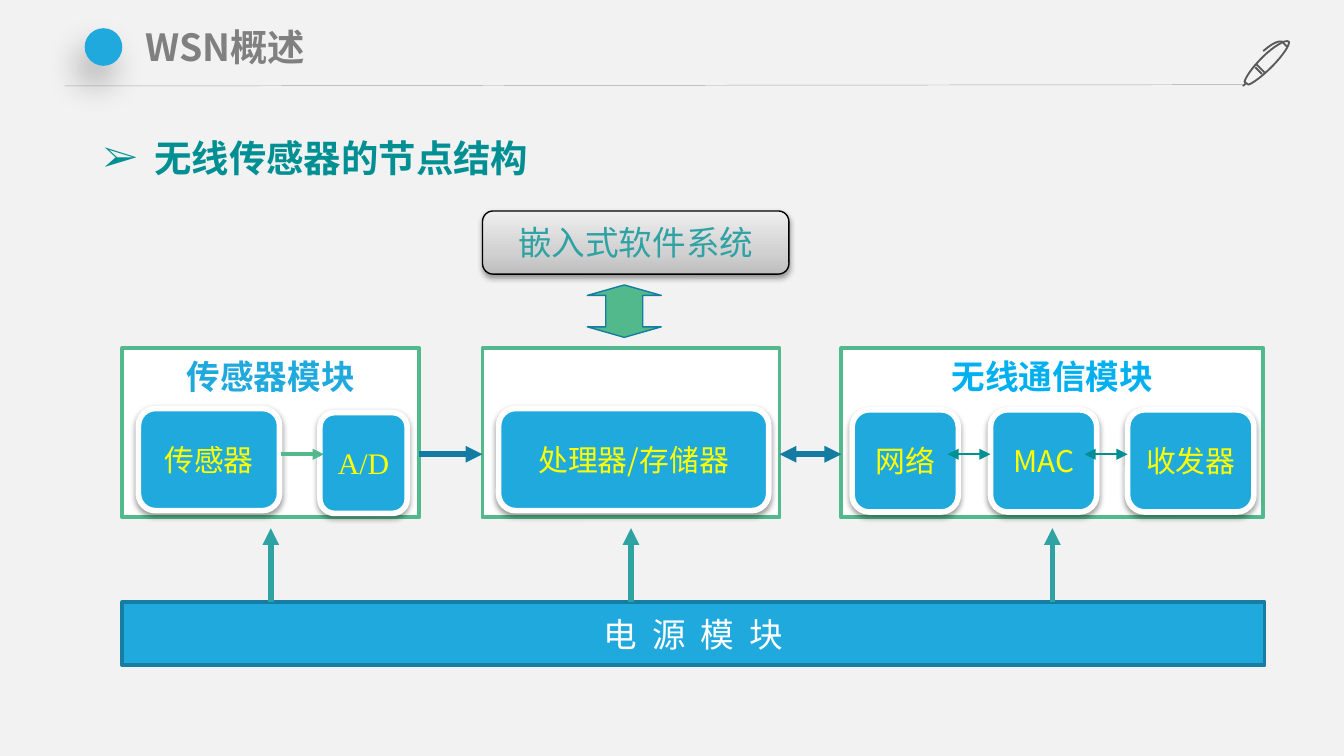
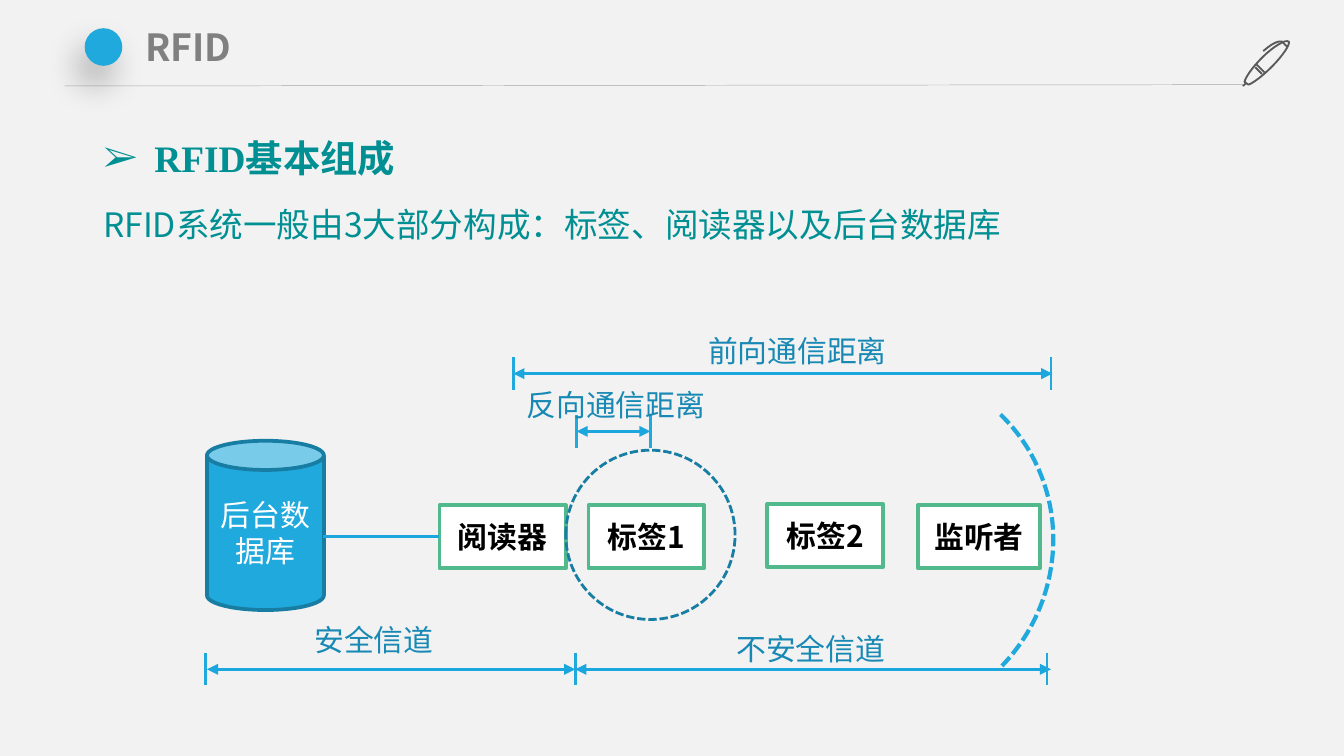
from dataclasses import dataclass

from lxml import etree
from pptx import Presentation
from pptx.dml.color import RGBColor
from pptx.enum.dml import MSO_LINE
from pptx.enum.shapes import MSO_CONNECTOR, MSO_SHAPE
from pptx.enum.text import MSO_ANCHOR, MSO_AUTO_SIZE, PP_ALIGN
from pptx.oxml.ns import qn
from pptx.util import Inches, Pt

RECT, ROUNDED = MSO_SHAPE.RECTANGLE, MSO_SHAPE.ROUNDED_RECTANGLE
OVAL, CAN, ARC = MSO_SHAPE.OVAL, MSO_SHAPE.CAN, MSO_SHAPE.ARC
UP_DOWN = MSO_SHAPE.UP_DOWN_ARROW
STRAIGHT = MSO_CONNECTOR.STRAIGHT
LEFT, CENTER = PP_ALIGN.LEFT, PP_ALIGN.CENTER
TOP, MIDDLE = MSO_ANCHOR.TOP, MSO_ANCHOR.MIDDLE
DASH = MSO_LINE.SQUARE_DOT


@dataclass(frozen=True)
class Theme:
    sans: str = "Noto Sans CJK SC"
    serif: str = "Times New Roman"
    page: str = "F2F2F2"
    title: str = "808080"
    rule: str = "A6A6A6"
    pen: str = "595959"
    body: str = "008F92"
    blue: str = "20A9DD"
    edge: str = "187DA3"
    flow: str = "147BA2"
    green: str = "52B98C"
    teal: str = "2FA2A4"
    sky: str = "00B0F0"
    span: str = "1BA7DD"
    label: str = "1889B4"
    chip_text: str = "FFFF00"
    white: str = "FFFFFF"
    black: str = "000000"
    heading_size: int = 20
    text_size: int = 18
    small_size: int = 16


T = Theme()
CHIP_SHADOW = (38, 3.1, 1.6, 90)  # opacity, blur, distance, angle
DOT_SHADOW = (27, 18, 11, 113)
SOFTWARE_STOPS = ((0, "BDBDBD"), (35, "D1D1D1"), (100, "EEEEEE"))

# Pen strokes in inches: a start point, then Bezier triples
PEN_STROKES = (
    ((9.39, 0.55), (9.34, 0.5), (9.34, 0.5), (9.34, 0.5)),
    ((9.35, 0.48), (9.41, 0.54), (9.41, 0.54), (9.41, 0.54)),
    ((9.59, 0.31), (9.57, 0.29), (9.48, 0.34), (9.39, 0.43),
     (9.32, 0.5), (9.27, 0.57), (9.26, 0.61),
     (9.29, 0.63), (9.29, 0.63), (9.29, 0.63),
     (9.32, 0.62), (9.39, 0.57), (9.46, 0.5),
     (9.55, 0.41), (9.6, 0.33), (9.59, 0.31)),
    ((9.27, 0.62), (9.25, 0.64), (9.25, 0.64), (9.25, 0.64)),
    ((9.58, 0.35), (9.58, 0.35), (9.56, 0.33), (9.54, 0.31),
     (9.54, 0.31), (9.5, 0.29), (9.4, 0.38)),
)


def rgb(color):
    return RGBColor.from_string(color)


def inches(values):
    return [Inches(value) for value in values]


def style(paragraph, size, color, bold=False, font=T.sans, align=LEFT):
    paragraph.alignment = align
    for run in paragraph.runs:
        run.font.name, run.font.size, run.font.bold = font, Pt(size), bold
        run.font.color.rgb = rgb(color)


def write(shape, text, size, color, bold=False, font=T.sans, align=CENTER,
          anchor=MIDDLE):
    frame = shape.text_frame
    frame.text = text
    frame.word_wrap = True
    frame.vertical_anchor = anchor
    frame.margin_left = frame.margin_right = Inches(0.05)
    style(frame.paragraphs[0], size, color, bold, font, align)


def outline(shape, color, width):
    if color:
        shape.line.color.rgb = rgb(color)
        shape.line.width = Pt(width)
    else:
        shape.line.fill.background()


def add_block(shapes, kind, box, fill=None, line=None, width=2, shadow=None):
    block = shapes.add_shape(kind, *inches(box))
    block.shadow.inherit = False
    if fill:
        block.fill.solid()
        block.fill.fore_color.rgb = rgb(fill)
    else:
        block.fill.background()
    outline(block, line, width)
    if shadow:
        alpha, blur, distance, angle = shadow
        effects = block.element.spPr.find(qn("a:effectLst"))
        outer = etree.SubElement(
            effects, qn("a:outerShdw"), blurRad=str(Pt(blur)),
            dist=str(Pt(distance)), dir=str(angle * 60000), rotWithShape="0")
        tint = etree.SubElement(outer, qn("a:srgbClr"), val=T.black)
        etree.SubElement(tint, qn("a:alpha"), val=str(alpha * 1000))
    return block


def add_line(shapes, start, end, color, width, head=False, tail=False):
    line = shapes.add_connector(STRAIGHT, *inches((*start, *end)))
    outline(line, color, width)
    properties = line.element.spPr
    stroke = properties.find(qn("a:ln"))
    for tag, wanted in (("a:headEnd", head), ("a:tailEnd", tail)):
        if wanted:
            etree.SubElement(stroke, qn(tag), type="triangle")
    etree.SubElement(properties, qn("a:effectLst"))
    return line


def curve_points(stroke, steps=8):
    points = [stroke[0]]
    for i in range(1, len(stroke), 3):
        a, (b, c, d) = points[-1], stroke[i:i + 3]
        for step in range(1, steps + 1):
            t = step / steps
            u = 1 - t
            points.append(tuple(
                u**3 * p + 3 * u * u * t * q + 3 * u * t * t * r + t**3 * s
                for p, q, r, s in zip(a, b, c, d)))
    return [inches(point) for point in points]


def add_pen(shapes):
    builder = None
    for stroke in PEN_STROKES:
        first, *rest = curve_points(stroke)
        if builder is None:
            builder = shapes.build_freeform(*first)
        else:
            builder.move_to(*first)
        builder.add_line_segments(rest, close=stroke[0] == stroke[-1])
    pen = builder.convert_to_shape()
    pen.shadow.inherit = False
    pen.fill.background()
    outline(pen, T.pen, 1)
    return pen


def decorate_layout(prs, layout):
    """Put the shared header on the layout, using a slide to draw it."""
    background = prs.slide_master.background.fill
    background.solid()
    background.fore_color.rgb = rgb(T.page)
    for holder in list(layout.placeholders):
        if holder.placeholder_format.idx >= 10:  # date, footer, number
            holder.element.getparent().remove(holder.element)
    slide = prs.slides[0]
    parts = (
        add_line(slide.shapes, (0.48, 0.64), (9.25, 0.63), T.rule, 0.25),
        add_pen(slide.shapes),
        add_block(slide.shapes, OVAL, (0.63, 0.21, 0.28, 0.28), T.blue,
                  shadow=DOT_SHADOW),
    )
    for part in parts:
        layout.shapes.element.append(part.element)


def fill_title(slide, box, text):
    title = slide.shapes.title
    title.left, title.top, title.width, title.height = inches(box)
    write(title, text, T.heading_size, T.title, bold=True, align=LEFT,
          anchor=TOP)
    frame = title.text_frame
    frame.auto_size = MSO_AUTO_SIZE.NONE
    frame.margin_left = frame.margin_right = Inches(0.1)
    frame.margin_top = frame.margin_bottom = Inches(0.04)


def add_body(slide, box, heading, note=None):
    frame = slide.shapes.add_textbox(*inches(box)).text_frame
    frame.word_wrap = True
    first = frame.paragraphs[0]
    first.text = heading
    properties = first._p.get_or_add_pPr()
    properties.set("marL", str(Inches(0.38)))
    properties.set("indent", str(-Inches(0.38)))
    etree.SubElement(properties, qn("a:buFont"), typeface=T.serif)
    etree.SubElement(properties, qn("a:buChar"), char="➢")
    style(first, T.heading_size, T.body, bold=True, font=T.serif)
    if note:
        second = frame.add_paragraph()
        second.text = note
        second.space_before = Pt(3)
        style(second, T.text_size, T.body)
    for paragraph in frame.paragraphs:
        paragraph.line_spacing = 1.3
        paragraph.space_after = Pt(3)


def add_module(shapes, box, chips, label=None, label_color=T.blue):
    """A framed module; chips are (text, left, top, width, height, font)."""
    left, top = box[:2]
    frame = add_block(shapes, RECT, box, T.white, T.green)
    if label:
        write(frame, label, T.text_size, label_color, bold=True, anchor=TOP)
        frame.text_frame.margin_top = Inches(0.06)
    for text, x, y, width, height, font in chips:
        chip = add_block(shapes, ROUNDED, (left + x, top + y, width, height),
                         T.blue, T.white, 3, CHIP_SHADOW)
        write(chip, text, T.small_size, T.chip_text, font=font)


def add_node_diagram(slide, left, top):
    shapes = slide.shapes
    row, flow_y, power_y = top + 1.02, top + 1.81, top + 2.91
    modules = [(left + x, row, width, 1.26)
               for x, width in ((0, 2.21), (2.68, 2.21), (5.35, 3.14))]
    sensor, processor, radio = modules

    # Embedded software above the processor
    software = add_block(shapes, ROUNDED, (left + 2.68, top, 2.28, 0.47),
                         T.white, T.black, 0.75, CHIP_SHADOW)
    software.fill.gradient()
    software.fill.gradient_angle = 90
    stops = software.element.spPr.find(qn("a:gradFill")).find(qn("a:gsLst"))
    stops.clear()
    for position, color in SOFTWARE_STOPS:
        stop = etree.SubElement(stops, qn("a:gs"), pos=str(position * 1000))
        etree.SubElement(stop, qn("a:srgbClr"), val=color)
    write(software, "嵌入式软件系统", T.text_size, T.teal)
    exchange = add_block(shapes, UP_DOWN, (left + 3.46, top + 0.55, 0.55, 0.39),
                         T.green, T.flow, 0.75)
    guides = exchange.element.spPr.find(qn("a:prstGeom")).find(qn("a:avLst"))
    guides.clear()
    for name, value in (("adj1", 50000), ("adj2", 20000)):
        etree.SubElement(guides, qn("a:gd"), name=name, fmla=f"val {value}")

    # Modules and the arrows inside them
    group = shapes.add_group_shape().shapes
    add_module(group, sensor, (
        ("传感器", 0.12, 0.45, 1.05, 0.76, T.sans),
        ("A/D", 1.47, 0.48, 0.65, 0.75, T.serif)), "传感器模块")
    add_line(group, (left + 1.18, flow_y), (left + 1.5, flow_y),
             T.green, 2, tail=True)
    add_module(shapes, processor, (
        ("处理器/存储器", 0.12, 0.45, 2.01, 0.76, T.sans),))
    add_module(shapes, radio, (
        ("网络", 0.08, 0.46, 0.79, 0.76, T.sans),
        ("MAC", 1.11, 0.46, 0.79, 0.76, T.sans),
        ("收发器", 2.13, 0.46, 0.94, 0.76, T.sans)), "无线通信模块", T.sky)
    for x in (radio[0] + 0.79, radio[0] + 1.81):
        add_line(shapes, (x, flow_y), (x + 0.32, flow_y), T.body, 1, True, True)

    # Flow between modules
    for before, after, both_ways in ((sensor, processor, False),
                                     (processor, radio, True)):
        add_line(shapes, (before[0] + before[2], flow_y), (after[0], flow_y),
                 T.flow, 3, both_ways, True)

    # Power supply feeding every module
    power = add_block(shapes, RECT, (left, power_y, 8.5, 0.47), T.blue, T.edge)
    write(power, "电 源 模 块", T.text_size, T.white)
    for properties in power.element.iter(qn("a:rPr")):
        properties.set("spc", "200")
    for x, _, width, _ in modules:
        center = x + width / 2
        add_line(shapes, (center, power_y), (center, power_y - 0.55),
                 T.teal, 3, tail=True)


def add_rfid_diagram(slide, left, top):
    shapes = slide.shapes

    # Database, reader, tags and listener
    database = add_block(shapes, CAN, (left + 0.01, top + 0.85, 0.87, 1.26),
                         T.blue, T.edge)
    write(database, "后台数据库", T.small_size, T.white)
    parties = {}
    for name, x, y, width in (("阅读器", 1.74, 1.33, 0.94),
                              ("标签1", 2.85, 1.33, 0.86),
                              ("标签2", 4.18, 1.32, 0.86),
                              ("监听者", 5.3, 1.33, 0.91)):
        party = add_block(shapes, RECT, (left + x, top + y, width, 0.47),
                          T.white, T.green)
        write(party, name, T.small_size, T.black, bold=True)
        parties[name] = party
    link = add_line(shapes, (left + 0.87, top + 1.56), (left + 1.74, top + 1.56),
                    T.span, 1.5)
    link.end_connect(parties["阅读器"], 1)
    link.begin_y = link.end_y

    # Radio ranges
    near = add_block(shapes, OVAL, (left + 2.68, top + 0.92, 1.26, 1.26),
                     line=T.edge, width=1.5)
    far = add_block(shapes, ARC, (left + 3.68, top + 0.28, 2.61, 2.68),
                    line=T.blue, width=2.25)
    far.rotation = 43.9
    for reach in (near, far):
        reach.line.dash_style = DASH

    # Distances and channels with their end ticks
    for start, end, y, ticks in ((2.29, 6.3, 0.35, (2.29, 6.29)),
                                 (2.76, 3.31, 0.78, (2.76, 3.31)),
                                 (0.01, 2.75, 2.55, (0, 2.75)),
                                 (2.75, 6.29, 2.55, (6.26,))):
        add_line(shapes, (left + start, top + y), (left + end, top + y),
                 T.span, 1.5, True, True)
        for x in ticks:
            add_line(shapes, (left + x, top + y - 0.12),
                     (left + x, top + y + 0.12), T.blue, 1.5)
    for text, x, y, width in (("前向通信距离", 3.64, 0, 1.55),
                              ("反向通信距离", 2.29, 0.4, 1.6),
                              ("安全信道", 0.71, 2.15, 1.1),
                              ("不安全信道", 3.85, 2.21, 1.32)):
        label = shapes.add_textbox(*inches((left + x, top + y, width, 0.37)))
        write(label, text, T.small_size, T.label, align=LEFT, anchor=TOP)
        label.text_frame.word_wrap = False
        label.text_frame.margin_left = Inches(0.1)


def main():
    prs = Presentation()
    prs.slide_width = Inches(10)
    prs.slide_height = prs.slide_width * 9 // 16
    layout = prs.slide_layouts[5]
    node, rfid = (prs.slides.add_slide(layout) for _ in range(2))
    decorate_layout(prs, layout)

    for slide, title in ((node, "WSN概述"), (rfid, "RFID")):
        fill_title(slide, (0.98, 0.14, 8.27, 0.43), title)
    add_body(node, (0.67, 0.86, 8.98, 1.54), "无线传感器的节点结构")
    add_node_diagram(node, 0.91, 1.57)
    add_body(rfid, (0.67, 0.86, 8.98, 1.02), "RFID基本组成",
             "RFID系统一般由3大部分构成：标签、阅读器以及后台数据库")
    add_rfid_diagram(rfid, 1.53, 2.43)

    # East Asian typeface for every run
    for slide in (node, rfid):
        for properties in slide.shapes.element.iter(qn("a:rPr")):
            etree.SubElement(properties, qn("a:ea"), typeface=T.sans)
    prs.save("out.pptx")


if __name__ == "__main__":
    main()
